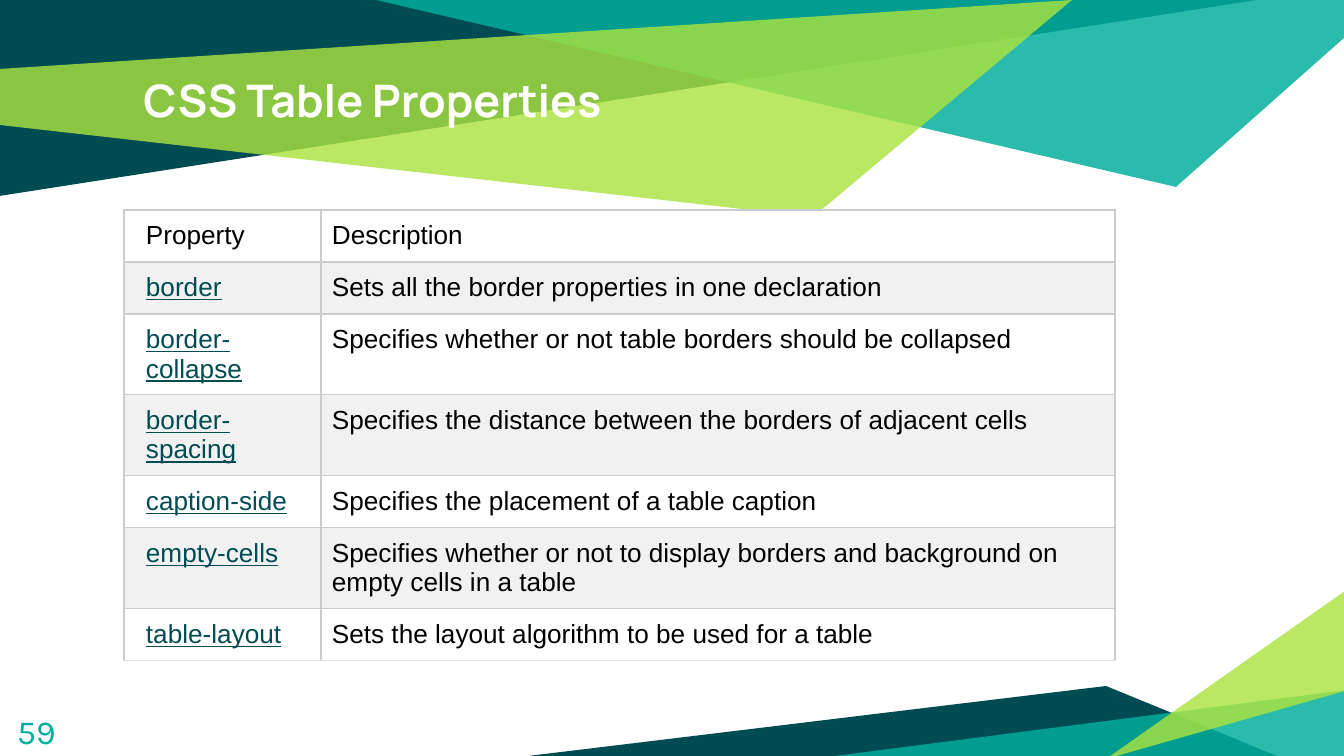
from lxml import etree
from pptx import Presentation
from pptx import util as u
from pptx.dml import color
from pptx.enum import text
from pptx.oxml import ns

SCALE = u.Inches(10) / 1344
COLORS = {
    "navy": "004C52", "teal": "00AE9D", "lime": "ABE33F", "white": "FFFFFF",
    "black": "000000", "stripe": "F1F1F1", "border": "CCCCCC", "bottom": "DDDDDD",
}
HEADER_BANDS = [
    ("navy", 100, [(0, 0), (0, 196), (1257, 0)]),
    ("teal", 83, [(376, 0), (1176, 187), (1344, 38), (1344, 0)]),
    ("lime", 81, [(-1, 69), (0, 125), (813, 217), (1072, 0)]),
]
FOOTER_BANDS = [
    ("navy", 100, [(0, 165), (749, 165), (578, 95)]),
    ("teal", 83, [(819, 99), (819, 168), (284, 168)]),
    ("lime", 81, [(817, 100), (817, 0), (578, 168)]),
]
PROPERTIES = [
    ("Property", "Description", 52),
    ("border", "Sets all the border properties in one declaration", 52),
    ("border-collapse", "Specifies whether or not table borders should be collapsed", 81),
    ("border-spacing", "Specifies the distance between the borders of adjacent cells", 81),
    ("caption-side", "Specifies the placement of a table caption", 52),
    ("empty-cells", "Specifies whether or not to display borders and background on "
     "empty cells in a table", 81),
    ("table-layout", "Sets the layout algorithm to be used for a table", 52),
]


def px(length):
    return u.Emu(round(length * SCALE))


def rgb(name):
    return color.RGBColor.from_string(COLORS[name])


def apply(target, values):
    for name, value in values.items():
        setattr(target, name, value)


def place(shape, box):
    apply(shape, dict(zip(("left", "top", "width", "height"), map(px, box))))


def write(frame, words, size, font, ink, **extra):
    para = frame.paragraphs[0]
    para.alignment = text.PP_ALIGN.LEFT
    span = para.add_run()
    span.text = words
    apply(span.font, {"size": u.Pt(size), "name": font, **extra})
    span.font.color.rgb = rgb(ink)


def format_frame(frame):
    apply(frame, {
        "word_wrap": True, "auto_size": text.MSO_AUTO_SIZE.NONE,
        "vertical_anchor": text.MSO_ANCHOR.TOP,
        **{f"margin_{side}": u.Inches(0.1) for side in ("left", "top", "right", "bottom")},
    })


def add_bands(page, box, bands):
    left, top = box
    for fill, opacity, points in bands:
        builder = page.shapes.build_freeform(*points[0], scale=SCALE)
        builder.add_line_segments(points[1:], close=True)
        band = builder.convert_to_shape(px(left), px(top))
        band.shadow.inherit = False
        band.line.fill.background()
        band.fill.solid()
        band.fill.fore_color.rgb = rgb(fill)
        if opacity < 100:
            tint = band.fill._xPr.find(".//" + ns.qn("a:srgbClr"))
            etree.SubElement(tint, ns.qn("a:alpha"), val=str(opacity * 1000))


def add_title(page, box, words):
    title = page.shapes.title
    page.shapes._spTree.append(title._element)
    place(title, box)
    format_frame(title.text_frame)
    write(title.text_frame, words, 24, "Manrope", "white", bold=True)


def add_page_number(page, box, number):
    label = page.shapes.add_textbox(*map(px, box))
    format_frame(label.text_frame)
    write(label.text_frame, number, 18, "Karla", "teal")


def set_borders(cell, bottom):
    properties = cell._tc.get_or_add_tcPr()
    for side, name in zip("LRTB", ("border", "border", "border", bottom)):
        line = etree.SubElement(properties, ns.qn(f"a:ln{side}"), w=str(u.Pt(0.75)))
        fill = etree.SubElement(line, ns.qn("a:solidFill"))
        etree.SubElement(fill, ns.qn("a:srgbClr"), val=COLORS[name])


def add_property_table(page, box, rows, first_width):
    table = page.shapes.add_table(len(rows), 2, *map(px, box)).table
    for column, width in zip(table.columns, (first_width, box[2] - first_width)):
        column.width = px(width)
    for index, (*words, height) in enumerate(rows):
        table.rows[index].height = px(height)
        for side, content in enumerate(words):
            cell = table.cell(index, side)
            apply(cell, {
                "margin_left": px(11 if side else 22), "margin_right": px(11),
                "margin_top": px(11), "margin_bottom": px(11),
                "vertical_anchor": text.MSO_ANCHOR.TOP,
            })
            set_borders(cell, "bottom" if index == len(rows) - 1 else "border")
            cell.fill.solid()
            cell.fill.fore_color.rgb = rgb("stripe" if index % 2 else "white")
            linked = index > 0 and side == 0
            write(cell.text_frame, content, 14, "Arial", "navy" if linked else "black",
                  bold=False, underline=linked)


def main():
    deck = Presentation()
    apply(deck, {"slide_width": px(1344), "slide_height": px(756)})
    page = deck.slides.add_slide(deck.slide_layouts[5])
    add_bands(page, (0, 0), HEADER_BANDS)
    add_bands(page, (528, 591), FOOTER_BANDS)
    add_title(page, (130, 59, 1083, 126), "CSS Table Properties")
    add_page_number(page, (4, 698, 81, 58), "59")
    height = sum(row[-1] for row in PROPERTIES)
    add_property_table(page, (124, 210, 991, height), PROPERTIES, 197)
    deck.save("out.pptx")


if __name__ == "__main__":
    main()
